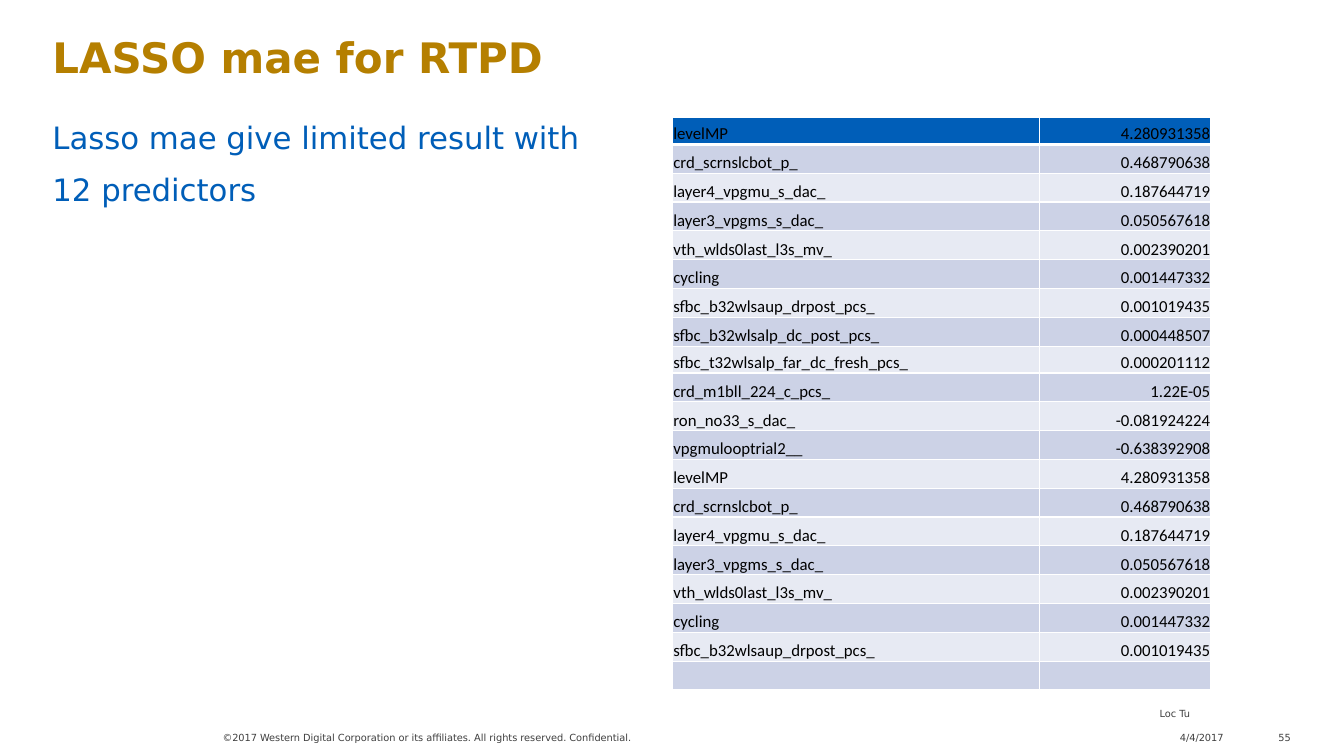
from dataclasses import dataclass

from lxml.etree import SubElement
from pptx import Presentation
from pptx.dml.color import RGBColor
from pptx.enum.text import MSO_ANCHOR, PP_ALIGN
from pptx.oxml.ns import qn
from pptx.util import Pt


@dataclass(frozen=True)
class Theme:
    heading_font: str = "DejaVu Sans"
    table_font: str = "Calibri"
    gold: str = "B57F00"
    blue: str = "005EB8"
    grey: str = "3F3F3F"
    black: str = "000000"
    white: str = "FFFFFF"
    dark_band: str = "CCD2E6"
    light_band: str = "E7EAF3"
    title_size: float = 30
    body_size: float = 22
    table_size: float = 12
    footer_size: float = 7


@dataclass(frozen=True)
class Box:
    left: float
    top: float
    width: float
    height: float


THEME = Theme()

PREDICTORS = [
    ("levelMP", "4.280931358"),
    ("crd_scrnslcbot_p_", "0.468790638"),
    ("layer4_vpgmu_s_dac_", "0.187644719"),
    ("layer3_vpgms_s_dac_", "0.050567618"),
    ("vth_wlds0last_l3s_mv_", "0.002390201"),
    ("cycling", "0.001447332"),
    ("sfbc_b32wlsaup_drpost_pcs_", "0.001019435"),
    ("sfbc_b32wlsalp_dc_post_pcs_", "0.000448507"),
    ("sfbc_t32wlsalp_far_dc_fresh_pcs_", "0.000201112"),
    ("crd_m1bll_224_c_pcs_", "1.22E-05"),
    ("ron_no33_s_dac_", "-0.081924224"),
    ("vpgmulooptrial2__", "-0.638392908"),
]
COEFFICIENT_ROWS = PREDICTORS + PREDICTORS[:7] + [("", "")]
SHORT_ROWS = (0, 8)


def add_run(paragraph, words, font, size, color, bold=False):
    run = paragraph.add_run()
    run.text = words
    run.font.name = font
    run.font.size = Pt(size)
    run.font.bold = bold
    run.font.color.rgb = RGBColor.from_string(color)


def add_lines(slide, box, lines, size, color, bold=False,
              align=PP_ALIGN.LEFT, anchor=MSO_ANCHOR.TOP, spacing=1.0, gap=0):
    frame = slide.shapes.add_textbox(
        Pt(box.left), Pt(box.top), Pt(box.width), Pt(box.height)).text_frame
    frame.word_wrap = True
    frame.vertical_anchor = anchor
    frame.margin_left = frame.margin_right = Pt(0)
    frame.margin_top = frame.margin_bottom = Pt(0)
    for index, line in enumerate(lines):
        paragraph = frame.add_paragraph() if index else frame.paragraphs[0]
        paragraph.alignment = align
        paragraph.line_spacing = spacing
        if index:
            paragraph.space_before = Pt(gap)
        add_run(paragraph, line, THEME.heading_font, size, color, bold)


def add_title(slide, box):
    add_lines(slide, box, ["LASSO mae for RTPD"], THEME.title_size, THEME.gold, bold=True)


def add_summary(slide, box):
    add_lines(slide, box, ["Lasso mae give limited result with", "12 predictors"],
              THEME.body_size, THEME.blue, align=PP_ALIGN.JUSTIFY, spacing=0.95, gap=12)


def add_footer(slide, box):
    right = box.left + box.width
    parts = [
        ("©2017 Western Digital Corporation or its affiliates. All rights reserved. Confidential.",
         Box(box.left, box.top, 316, box.height), PP_ALIGN.LEFT),
        ("Loc Tu", Box(right - 120, box.top - 17.2, 48, box.height), PP_ALIGN.RIGHT),
        ("4/4/2017", Box(right - 96, box.top, 48, box.height), PP_ALIGN.RIGHT),
        ("55", Box(right - 19.5, box.top, 19.5, box.height), PP_ALIGN.RIGHT),
    ]
    for words, place, align in parts:
        add_lines(slide, place, [words], THEME.footer_size, THEME.grey,
                  align=align, anchor=MSO_ANCHOR.BOTTOM)


def set_borders(cell, top, bottom):
    properties = cell._tc.get_or_add_tcPr()
    for side, width in (("L", 1), ("R", 1), ("T", top), ("B", bottom)):
        border = SubElement(properties, qn(f"a:ln{side}"), w=str(Pt(width)))
        fill = SubElement(border, qn("a:solidFill"))
        SubElement(fill, qn("a:srgbClr"), val=THEME.white)


def fill_cell(cell, words, row, align):
    set_borders(cell, top=3 if row == 1 else 1, bottom=3 if row == 0 else 1)
    band = THEME.dark_band if row % 2 else THEME.light_band
    cell.fill.solid()
    cell.fill.fore_color.rgb = RGBColor.from_string(THEME.blue if row == 0 else band)
    cell.margin_left = cell.margin_right = cell.margin_top = Pt(0.5)
    cell.margin_bottom = Pt(0)
    cell.vertical_anchor = MSO_ANCHOR.BOTTOM
    paragraph = cell.text_frame.paragraphs[0]
    paragraph.alignment = align
    if words:
        add_run(paragraph, words, THEME.table_font, THEME.table_size, THEME.black)
    else:
        SubElement(paragraph._p, qn("a:endParaRPr"), sz=str(int(THEME.table_size * 100)))


def add_coefficients(slide, box):
    table = slide.shapes.add_table(
        len(COEFFICIENT_ROWS), 2,
        Pt(box.left), Pt(box.top), Pt(box.width), Pt(box.height)).table
    table.first_row = False
    table.horz_banding = False
    name_width = 262.2
    table.columns[0].width = Pt(name_width)
    table.columns[1].width = Pt(box.width - name_width)
    short_height = 19.2
    full_height = ((box.height - short_height * len(SHORT_ROWS))
                   / (len(COEFFICIENT_ROWS) - len(SHORT_ROWS)))
    for row, (predictor, coefficient) in enumerate(COEFFICIENT_ROWS):
        table.rows[row].height = Pt(short_height if row in SHORT_ROWS else full_height)
        fill_cell(table.cell(row, 0), predictor, row, PP_ALIGN.LEFT)
        fill_cell(table.cell(row, 1), coefficient, row, PP_ALIGN.RIGHT)


def main():
    presentation = Presentation()
    presentation.slide_width = Pt(960)
    presentation.slide_height = Pt(540)
    slide = presentation.slides.add_slide(presentation.slide_layouts[6])
    add_summary(slide, Box(37.5, 87, 885.5, 399))
    add_title(slide, Box(37.5, 22.5, 885.5, 49))
    add_footer(slide, Box(159, 517, 763, 14.4))
    add_coefficients(slide, Box(480.5, 84, 384.5, 409.2))
    presentation.save("out.pptx")


if __name__ == "__main__":
    main()
